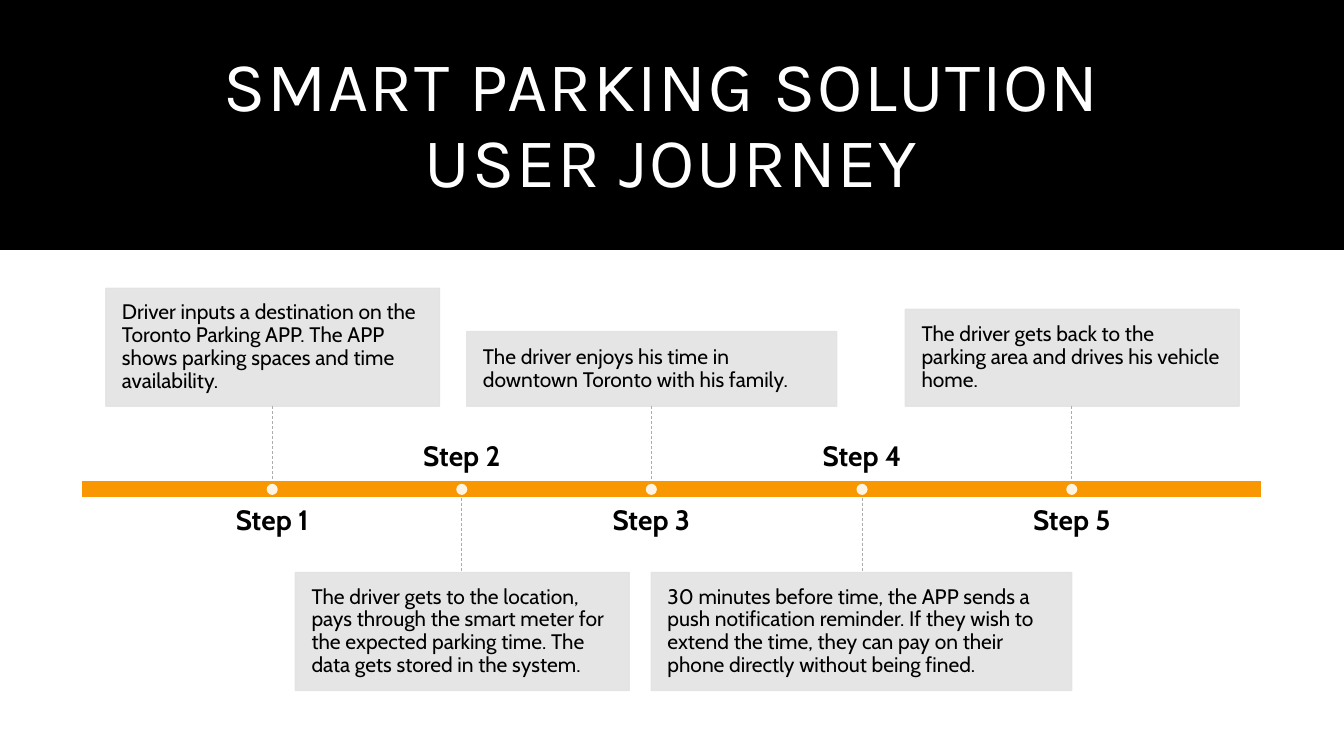
import pptx
import pptx.util
import pptx.dml.color
import pptx.enum.dml
import pptx.enum.shapes
import pptx.enum.text
import pptx.oxml.ns
import lxml.etree

Inches, Pt = pptx.util.Inches, pptx.util.Pt
PP_ALIGN, ANCHOR = pptx.enum.text.PP_ALIGN, pptx.enum.text.MSO_ANCHOR
SHAPE = pptx.enum.shapes.MSO_SHAPE
qn = pptx.oxml.ns.qn


def paint(fill, color, alpha=None):
    """Make a fill solid, with alpha as an opacity in percent."""
    fill.solid()
    fill.fore_color.rgb = pptx.dml.color.RGBColor.from_string(color)
    if alpha:
        clr = fill._xPr.find(qn("a:solidFill"))[0]
        lxml.etree.SubElement(clr, qn("a:alpha"), val=str(alpha * 1000))


def write(sp, text, font, color, align, anchor, inset):
    """Fill a shape with one paragraph; font holds the run's format values."""
    tf = sp.text_frame
    tf.text = text
    frame = {"word_wrap": True, "vertical_anchor": anchor,
             "auto_size": pptx.enum.text.MSO_AUTO_SIZE.NONE}
    for side, value in zip(("left", "top", "right", "bottom"), inset):
        frame["margin_" + side] = Inches(value)
    for name, value in frame.items():
        setattr(tf, name, value)
    p = tf.paragraphs[0]
    p.alignment, p.line_spacing = align, 0.9
    for r in p.runs:
        for name, value in font.items():
            setattr(r.font, name, value)
        paint(r.font.fill, color)


prs = pptx.Presentation()
prs.slide_width, prs.slide_height = Inches(13.33), Inches(7.5)
s = prs.slides.add_slide(prs.slide_layouts[5])
paint(s.background.fill, "FFFFFF")

# Title on its black band
title = s.shapes.title
title.left, title.top, title.width, title.height = map(Inches, (0.21, 0.33, 12.9, 1.86))
write(title, "SMART PARKING SOLUTION \vUSER JOURNEY",
      {"name": "Karla", "size": Pt(50), "bold": False},
      "FFFFFF", PP_ALIGN.CENTER, ANCHOR.MIDDLE, (0.1, 0.05, 0.1, 0.05))
for r in title.text_frame.paragraphs[0].runs:
    r.font._element.set("spc", "120")
band = s.shapes.add_shape(SHAPE.RECTANGLE, 0, 0, prs.slide_width, Inches(2.48))
band.shadow.inherit = False
paint(band.fill, "000000")
band.line.fill.background()
title._element.addprevious(band._element)

# Timeline bar
BAR_TOP, BAR_HEIGHT = 4.77, 0.17
BAR_BOTTOM = BAR_TOP + BAR_HEIGHT
bar = s.shapes.add_shape(SHAPE.RECTANGLE, Inches(0.81), Inches(BAR_TOP),
                         Inches(11.7), Inches(BAR_HEIGHT))
bar.shadow.inherit = False
paint(bar.fill, "F99700")
paint(bar.line.fill, "FFFFFF")
bar.line.width = Pt(1)

# Steps alternate above and below the bar: centre x, box left, width, height, text
STEM, DOT, LABEL_W, LABEL_H, LABEL_GAP = 0.74, 0.11, 3.01, 0.49, 0.08
steps = [
    (2.7, 1.05, 3.31, 1.17, "Driver inputs a destination on the Toronto Parking APP. "
     "The APP shows parking spaces and time availability."),
    (4.58, 2.93, 3.31, 1.17, "The driver gets to the location, pays through the smart meter "
     "for the expected parking time. The data gets stored in the system."),
    (6.46, 4.63, 3.67, 0.74, "The driver enjoys his time in downtown Toronto with his family."),
    (8.55, 6.46, 4.17, 1.17, "30 minutes before time, the APP sends a push notification "
     "reminder. If they wish to extend the time, they can pay on their phone directly "
     "without being fined."),
    (10.63, 8.98, 3.31, 0.96, "The driver gets back to the parking area and drives "
     "his vehicle home."),
]
for number, (x, left, width, height, text) in enumerate(steps, 1):
    if number % 2:
        stem_top, box_top = BAR_TOP - STEM, BAR_TOP - STEM - height
        label_top, label_anchor = BAR_BOTTOM + LABEL_GAP, ANCHOR.TOP
    else:
        stem_top, box_top = BAR_BOTTOM, BAR_BOTTOM + STEM
        label_top, label_anchor = BAR_TOP - LABEL_GAP - LABEL_H, ANCHOR.BOTTOM

    box = s.shapes.add_shape(SHAPE.RECTANGLE, Inches(left), Inches(box_top),
                             Inches(width), Inches(height))
    box.shadow.inherit = False
    paint(box.fill, "E3E3E3", 90)
    paint(box.line.fill, "E3E3E3", 90)
    box.line.width = Pt(1)
    write(box, text, {"name": "Cabin", "size": Pt(15)}, "000000",
          PP_ALIGN.LEFT, ANCHOR.MIDDLE, (0.16,) * 4)

    stem = s.shapes.add_connector(pptx.enum.shapes.MSO_CONNECTOR.STRAIGHT, Inches(x),
                                  Inches(stem_top), Inches(x), Inches(stem_top + STEM))
    paint(stem.line.fill, "ACACAC")
    stem.line.width = Pt(0.5)
    stem.line.dash_style = pptx.enum.dml.MSO_LINE.DASH
    lxml.etree.SubElement(stem._element.spPr, qn("a:effectLst"))

    dot = s.shapes.add_shape(SHAPE.OVAL, Inches(x - DOT / 2),
                             Inches(BAR_TOP + (BAR_HEIGHT - DOT) / 2), Inches(DOT), Inches(DOT))
    dot.shadow.inherit = False
    paint(dot.fill, "FFFFFF", 90)
    dot.line.fill.background()

    label = s.shapes.add_textbox(Inches(x - LABEL_W / 2), Inches(label_top),
                                 Inches(LABEL_W), Inches(LABEL_H))
    write(label, f"Step {number}", {"name": "Cabin", "size": Pt(20), "bold": True},
          "000000", PP_ALIGN.CENTER, label_anchor, (0,) * 4)

prs.save("out.pptx")
